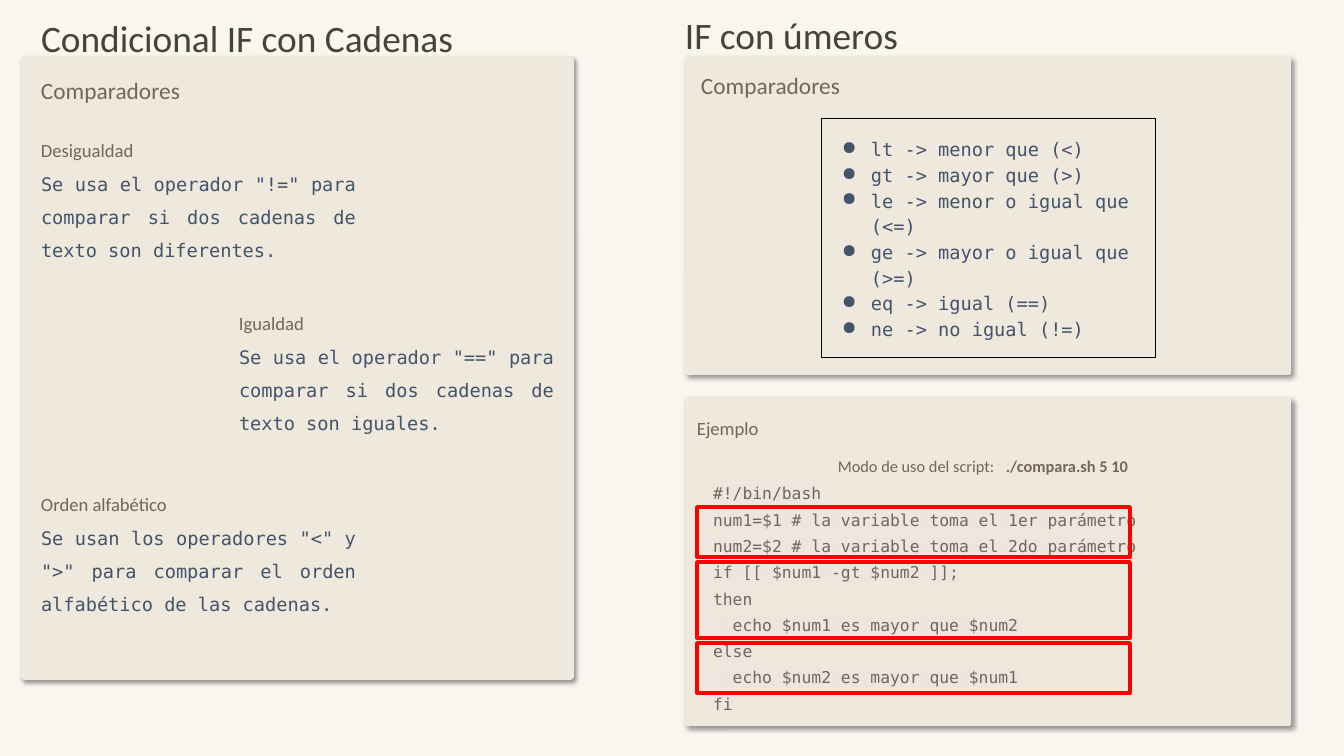
from dataclasses import dataclass

import lxml.etree
import pptx
import pptx.dml.color
import pptx.enum.shapes
import pptx.enum.text
import pptx.oxml.ns
import pptx.util

EMU_PER_PX = 914400 / 84
COLORS = {
    "background": "F9F6F0",
    "panel": "EEE8DD",
    "title": "484237",
    "heading": "746558",
    "body": "44546A",
    "highlight": "ECE6DF",
    "frame": "000000",
    "mark": "FF0000",
}
SANS = "Calibri"
MONO = "DejaVu Sans Mono"
ALIGN = pptx.enum.text.PP_ALIGN
ANCHOR = pptx.enum.text.MSO_ANCHOR
SHAPE = pptx.enum.shapes.MSO_SHAPE


@dataclass(frozen=True)
class Box:
    left: int
    top: int
    width: int
    height: int


@dataclass(frozen=True)
class Style:
    font: str
    size: int
    color: str
    spacing: pptx.util.Length | float
    align: ALIGN = ALIGN.LEFT
    highlight: bool = False
    bullet: bool = False


@dataclass(frozen=True)
class Section:
    left: int
    top: int
    heading: str
    body: str


TITLE = Style(SANS, 32, "title", pptx.util.Pt(44.5))
PANEL_HEADING = Style(SANS, 20, "heading", pptx.util.Pt(22))
EXAMPLE_HEADING = Style(SANS, 16, "heading", pptx.util.Pt(22))
SECTION_HEADING = Style(SANS, 16, "heading", pptx.util.Pt(27.5))
SECTION_BODY = Style(MONO, 16, "body", pptx.util.Pt(28.5), ALIGN.JUSTIFY)
USAGE = Style(SANS, 14, "heading", pptx.util.Pt(22.5), ALIGN.CENTER)
CODE = Style(MONO, 14, "heading", pptx.util.Pt(22.5), highlight=True)
OPERATOR = Style(MONO, 16, "body", 1.15, bullet=True)

PANELS = [Box(21, 57, 553, 623), Box(685, 57, 606, 318), Box(685, 398, 606, 328)]
MARKS = [Box(697, 507, 433, 50), Box(697, 562, 433, 76), Box(697, 643, 433, 50)]
SECTIONS = [
    Section(41, 129, "Desigualdad",
            'Se usa el operador "!=" para comparar si dos cadenas de texto son diferentes.'),
    Section(239, 302, "Igualdad",
            'Se usa el operador "==" para comparar si dos cadenas de texto son iguales.'),
    Section(41, 483, "Orden alfabético",
            'Se usan los operadores "<" y ">" para comparar el orden alfabético de las cadenas.'),
]
OPERATORS = [
    "lt -> menor que (<)",
    "gt -> mayor que (>)",
    "le -> menor o igual que (<=)",
    "ge -> mayor o igual que (>=)",
    "eq -> igual (==)",
    "ne -> no igual (!=)",
]
SCRIPT = [
    "#!/bin/bash",
    "num1=$1 # la variable toma el 1er parámetro",
    "num2=$2 # la variable toma el 2do parámetro",
    "if [[ $num1 -gt $num2 ]];",
    "then",
    "  echo $num1 es mayor que $num2",
    "else",
    "  echo $num2 es mayor que $num1",
    "fi",
]


def px(length: int) -> pptx.util.Emu:
    return pptx.util.Emu(round(length * EMU_PER_PX))


def bounds(box: Box) -> tuple[pptx.util.Emu, ...]:
    return px(box.left), px(box.top), px(box.width), px(box.height)


def rgb(name: str) -> pptx.dml.color.RGBColor:
    return pptx.dml.color.RGBColor.from_string(COLORS[name])


def add_element(parent, tag: str, **attributes: str):
    element = lxml.etree.SubElement(parent, pptx.oxml.ns.qn(tag))
    for name, value in attributes.items():
        element.set(name, value)
    return element


def add_run(paragraph, text: str, style: Style, bold: bool | None = None) -> None:
    run = paragraph.add_run()
    run.text = text
    run.font.size = pptx.util.Pt(style.size)
    run.font.bold = bold
    run.font.color.rgb = rgb(style.color)
    if style.highlight:
        properties = run.font._element
        highlight = add_element(properties, "a:highlight")
        add_element(highlight, "a:srgbClr", val=COLORS["highlight"])
        properties.find(pptx.oxml.ns.qn("a:solidFill")).addnext(highlight)
    run.font.name = style.font


def add_bullet(paragraph, color: str) -> None:
    properties = paragraph._p.get_or_add_pPr()
    properties.set("marL", str(px(42)))
    properties.set("indent", str(px(-29)))
    bullet_color = add_element(properties, "a:buClr")
    add_element(bullet_color, "a:srgbClr", val=COLORS[color])
    add_element(properties, "a:buChar", char="●")


def write(shape, lines: list[str], style: Style, margin: int = 0,
          anchor: ANCHOR = ANCHOR.TOP) -> None:
    frame = shape.text_frame
    frame.word_wrap = True
    frame.auto_size = pptx.enum.text.MSO_AUTO_SIZE.NONE
    frame.vertical_anchor = anchor
    frame.margin_left = frame.margin_right = px(margin)
    frame.margin_top = frame.margin_bottom = px(margin)
    for index, line in enumerate(lines):
        paragraph = frame.add_paragraph() if index else frame.paragraphs[0]
        if style.bullet:
            add_bullet(paragraph, style.color)
        paragraph.alignment = style.align
        paragraph.line_spacing = style.spacing
        add_run(paragraph, line, style)


def add_text(shapes, box: Box, lines: list[str], style: Style):
    text_box = shapes.add_textbox(*bounds(box))
    write(text_box, lines, style)
    return text_box


def add_panel(shapes, box: Box) -> None:
    panel = shapes.add_shape(SHAPE.ROUNDED_RECTANGLE, *bounds(box))
    panel.adjustments[0] = 0.007
    panel.fill.solid()
    panel.fill.fore_color.rgb = rgb("panel")
    panel.line.fill.background()
    panel.shadow.inherit = False
    effects = panel._element.spPr.find(pptx.oxml.ns.qn("a:effectLst"))
    shadow = add_element(effects, "a:outerShdw", blurRad=str(pptx.util.Pt(4)),
                         dist=str(pptx.util.Pt(3)), dir=str(45 * 60000))
    color = add_element(shadow, "a:srgbClr", val=COLORS["frame"])
    add_element(color, "a:alpha", val="40000")


def add_outline(shapes, box: Box, color: str, width: float):
    outline = shapes.add_shape(SHAPE.RECTANGLE, *bounds(box))
    outline.fill.background()
    outline.line.color.rgb = rgb(color)
    outline.line.width = pptx.util.Pt(width)
    outline.shadow.inherit = False
    return outline


def add_section(shapes, section: Section) -> None:
    group = shapes.add_group_shape().shapes
    add_text(group, Box(section.left, section.top, 260, 33), [section.heading], SECTION_HEADING)
    add_text(group, Box(section.left, section.top + 33, 315, 100), [section.body], SECTION_BODY)


def main() -> None:
    presentation = pptx.Presentation()
    presentation.slide_width, presentation.slide_height = px(1344), px(756)
    slide = presentation.slides.add_slide(presentation.slide_layouts[5])
    slide.background.fill.solid()
    slide.background.fill.fore_color.rgb = rgb("background")
    shapes = slide.shapes
    title = shapes.title
    title.left, title.top, title.width, title.height = bounds(Box(41, 8, 517, 52))
    write(title, ["Condicional IF con Cadenas"], TITLE)

    for panel in PANELS:
        add_panel(shapes, panel)
    add_text(shapes, Box(685, 5, 517, 52), ["IF con úmeros"], TITLE)
    for left, top in ((41, 79), (701, 74)):
        add_text(shapes, Box(left, top, 208, 26), ["Comparadores"], PANEL_HEADING)
    for section in SECTIONS:
        add_section(shapes, section)

    operators = add_outline(shapes, Box(821, 118, 334, 239), "frame", 0.75)
    write(operators, OPERATORS, OPERATOR, margin=8, anchor=ANCHOR.MIDDLE)

    add_text(shapes, Box(697, 414, 208, 26), ["Ejemplo"], EXAMPLE_HEADING)
    usage = add_text(shapes, Box(697, 450, 572, 27), ["Modo de uso del script: \t"], USAGE)
    add_run(usage.text_frame.paragraphs[0], "./compara.sh 5 10", USAGE, bold=True)
    add_text(shapes, Box(713, 477, 540, 239), SCRIPT, CODE)
    for mark in MARKS:
        add_outline(shapes, mark, "mark", 3)
    presentation.save("out.pptx")


if __name__ == "__main__":
    main()
